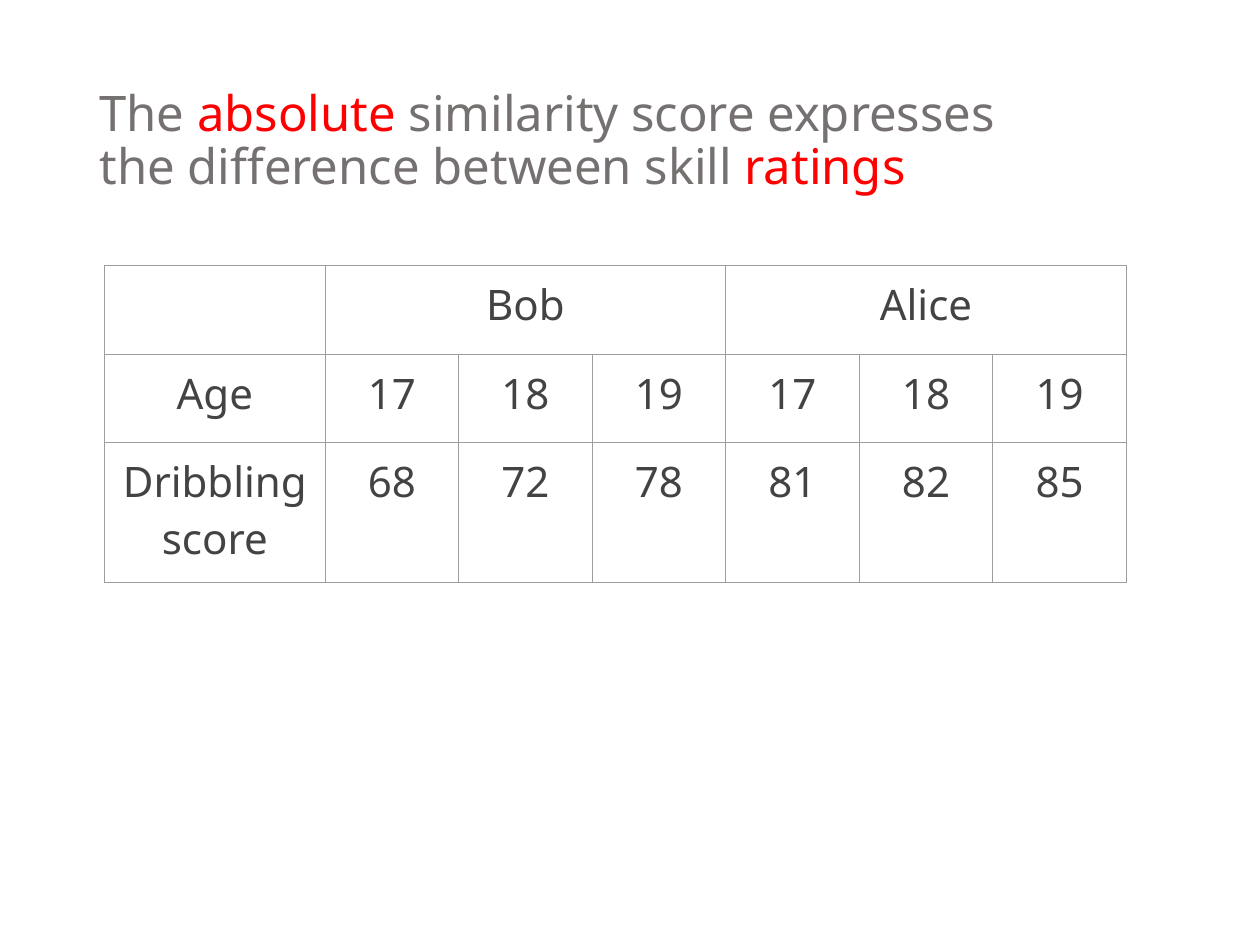
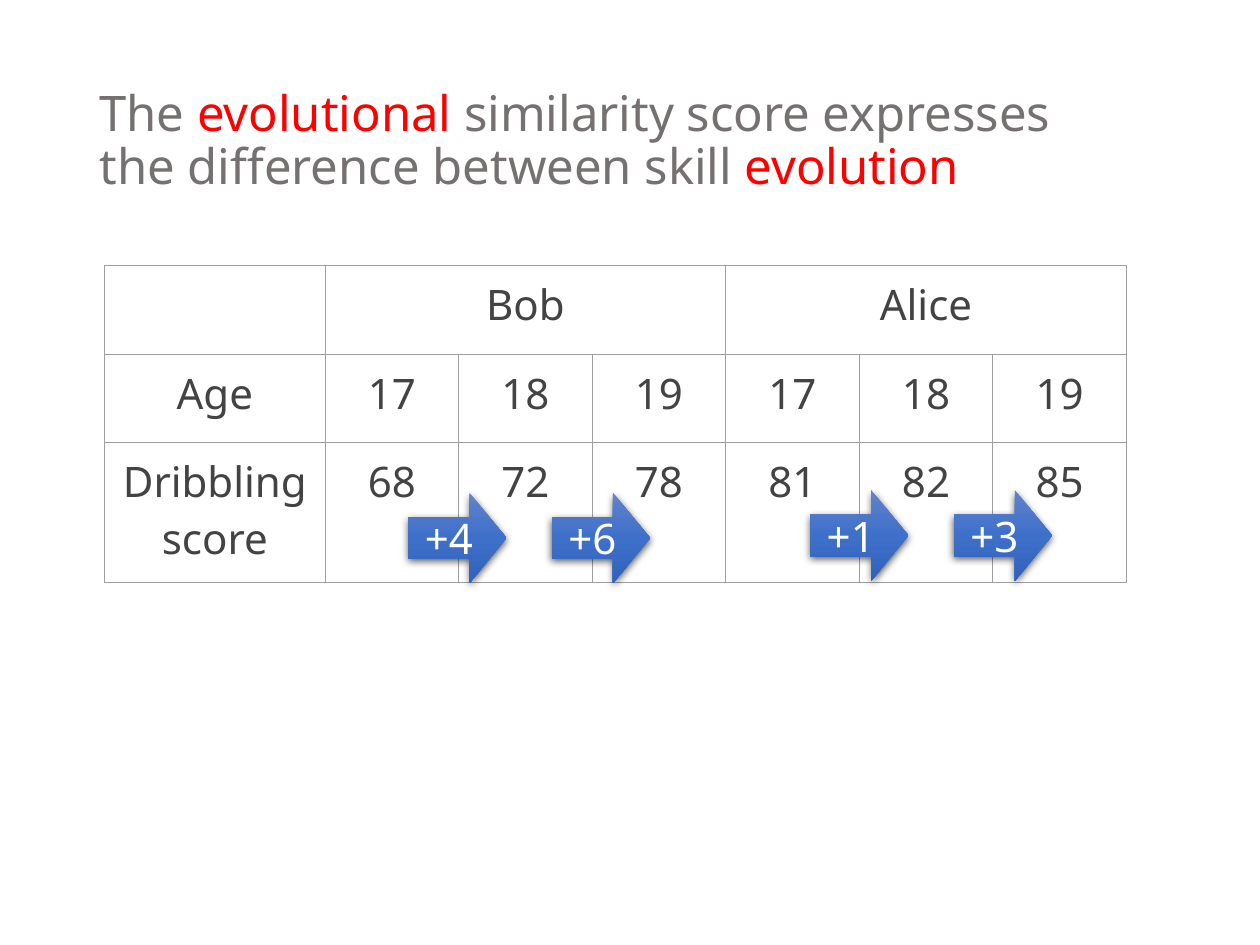
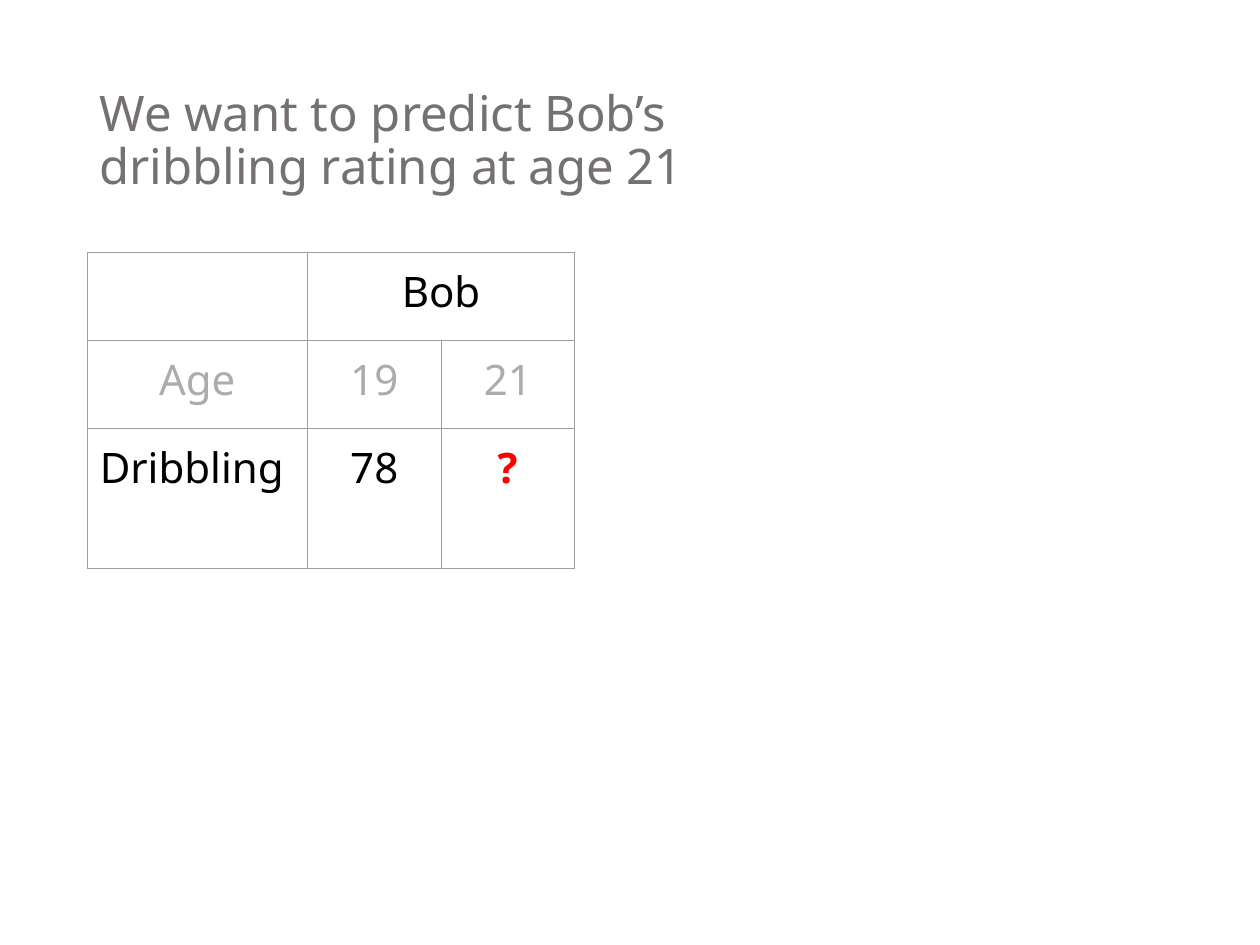
import pptx
import pptx.util
import pptx.oxml
import pptx.dml.color
import pptx.enum.shapes
import pptx.enum.text

Inches, Pt = pptx.util.Inches, pptx.util.Pt
RGBColor = pptx.dml.color.RGBColor
PP_ALIGN, MSO_ANCHOR = pptx.enum.text.PP_ALIGN, pptx.enum.text.MSO_ANCHOR

# Shared style
FONT = "Noto Sans"
TITLE_GRAY = RGBColor(0x76, 0x71, 0x71)
TEXT_DARK = RGBColor(0x43, 0x43, 0x43)
MUTED = RGBColor(0xAF, 0xAB, 0xAB)
BORDER = RGBColor(0x9E, 0x9E, 0x9E)
BLACK = RGBColor(0, 0, 0)
WHITE = RGBColor(255, 255, 255)
RED = RGBColor(255, 0, 0)
ARROW_STOPS = [(0, RGBColor(0x61, 0x83, 0xCB)), (50, RGBColor(0x3E, 0x70, 0xCA)),
               (100, RGBColor(0x30, 0x62, 0xBB))]
A_NS = 'xmlns:a="http://schemas.openxmlformats.org/drawingml/2006/main"'
NO_STYLE = "{2D5ABB26-0587-4C30-8999-92F81FD0307C}"
LABEL_W, VALUE_W = 1.75, 1.06
ROW_HEIGHTS = [0.7, 0.7, 1.11]
ARROW_W, ARROW_H, ARROW_STEP = 0.78, 0.72, 1.14

# Content: title lines hold (text, highlighted) parts
ABSOLUTE_TITLE = [
    [("The ", False), ("absolute", True), (" similarity score expresses", False)],
    [("the difference between skill ", False), ("ratings", True)],
]
EVOLUTION_TITLE = [
    [("The ", False), ("evolutional", True), (" similarity score expresses", False)],
    [("the difference between skill ", False), ("evolution", True)],
]
PREDICTION_TITLE = [
    [("We want to predict Bob’s", False)],
    [("dribbling rating at age 21", False)],
]
COMPARISON = {
    "at": (0.83, 2.11),
    "players": ["Bob", "Alice"],
    "rows": [["Age", "17", "18", "19", "17", "18", "19"],
             ["Dribbling score", "68", "72", "78", "81", "82", "85"]],
    "colors": [TEXT_DARK] * 3,
}
PREDICTION = {
    "at": (0.69, 2),
    "players": ["Bob"],
    "rows": [["Age", "19", "21"], ["Dribbling ", "78", "?"]],
    "colors": [BLACK, MUTED, BLACK],
}
GAINS = [(3.24, 3.91, ["+4", "+6"]), (6.43, 3.89, ["+1", "+3"])]


def style(p, size, color, align):
    p.alignment = align
    p.font.name, p.font.size = FONT, Pt(size)
    p.font.color.rgb = color


def add_slide(prs, lines):
    slide = prs.slides.add_slide(prs.slide_layouts[5])
    sp = slide.shapes.title
    sp.left, sp.top, sp.width, sp.height = map(Inches, (0.69, 0.4, 8.62, 1.45))
    tf = sp.text_frame
    tf.auto_size = pptx.enum.text.MSO_AUTO_SIZE.NONE
    tf.vertical_anchor = MSO_ANCHOR.MIDDLE
    p = tf.paragraphs[0]
    style(p, 28, TITLE_GRAY, PP_ALIGN.LEFT)
    p.line_spacing = 0.9
    for i, line in enumerate(lines):
        if i:
            p.add_line_break()
        for text, highlighted in line:
            r = p.add_run()
            r.text = text
            if highlighted:
                r.font.color.rgb = RED
    return slide


def format_cell(cell, text, color):
    cell.margin_left = cell.margin_right = Inches(0.08)
    cell.margin_top = cell.margin_bottom = Inches(0.08)
    cell.fill.background()
    p = cell.text_frame.paragraphs[0]
    style(p, 24, RED if text == "?" else color, PP_ALIGN.CENTER)
    if text == "?":
        p.font.bold = True
    if text:
        p.add_run().text = text
    # Border lines come before the fill
    tcPr = cell._tc.get_or_add_tcPr()
    for i, side in enumerate("LRTB"):
        tcPr.insert(i, pptx.oxml.parse_xml(
            f'<a:ln{side} {A_NS} w="{Pt(0.6)}"><a:solidFill>'
            f'<a:srgbClr val="{BORDER}"/></a:solidFill></a:ln{side}>'))


def add_score_table(slide, data):
    players, rows = data["players"], data["rows"]
    ages = len(rows[0]) - 1
    span = ages // len(players)
    header = [""] * (ages + 1)
    header[1::span] = players
    widths = [LABEL_W] + [VALUE_W] * ages
    left, top = data["at"]
    table = slide.shapes.add_table(
        len(rows) + 1, ages + 1, Inches(left), Inches(top),
        Inches(sum(widths)), Inches(sum(ROW_HEIGHTS))).table
    table.first_row = table.horz_banding = False
    table._tbl.tblPr[0].text = NO_STYLE
    for column, width in zip(table.columns, widths):
        column.width = Inches(width)
    for row, height in zip(table.rows, ROW_HEIGHTS):
        row.height = Inches(height)
    for r, (texts, color) in enumerate(zip([header] + rows, data["colors"])):
        for c, text in enumerate(texts):
            format_cell(table.cell(r, c), text, color)
    for c in range(1, ages + 1, span):
        table.cell(0, c).merge(table.cell(0, c + span - 1))


def add_gain_arrow(slide, left, top, text):
    sp = slide.shapes.add_shape(
        pptx.enum.shapes.MSO_SHAPE.RIGHT_ARROW,
        Inches(left), Inches(top), Inches(ARROW_W), Inches(ARROW_H))
    sp.adjustments[0], sp.adjustments[1] = 0.46, 0.41
    # Vertical gradient and soft shadow, placed around the empty line
    sp.line.fill.background()
    stops = "".join(f'<a:gs pos="{pos * 1000}"><a:srgbClr val="{color}"/></a:gs>'
                    for pos, color in ARROW_STOPS)
    ln = sp.line._ln
    ln.addprevious(pptx.oxml.parse_xml(
        f'<a:gradFill {A_NS}><a:gsLst>{stops}</a:gsLst><a:lin ang="5400000"/></a:gradFill>'))
    ln.addnext(pptx.oxml.parse_xml(
        f'<a:effectLst {A_NS}><a:outerShdw blurRad="{Pt(4.5)}" dist="{Pt(1.5)}" '
        'dir="5400000" algn="ctr" rotWithShape="0"><a:srgbClr val="000000">'
        '<a:alpha val="63000"/></a:srgbClr></a:outerShdw></a:effectLst>'))
    tf = sp.text_frame
    tf.vertical_anchor = MSO_ANCHOR.MIDDLE
    p = tf.paragraphs[0]
    p.add_run().text = text
    style(p, 24, WHITE, PP_ALIGN.CENTER)


def main():
    prs = pptx.Presentation()
    prs.slide_width, prs.slide_height = Inches(10), Inches(7.5)

    # Absolute similarity
    add_score_table(add_slide(prs, ABSOLUTE_TITLE), COMPARISON)

    # Evolutional similarity, with the gain between ages
    slide = add_slide(prs, EVOLUTION_TITLE)
    add_score_table(slide, COMPARISON)
    for left, top, gains in GAINS:
        for i, gain in enumerate(gains):
            add_gain_arrow(slide, left + i * ARROW_STEP, top, gain)

    # Prediction
    add_score_table(add_slide(prs, PREDICTION_TITLE), PREDICTION)

    prs.save("out.pptx")


if __name__ == "__main__":
    main()
